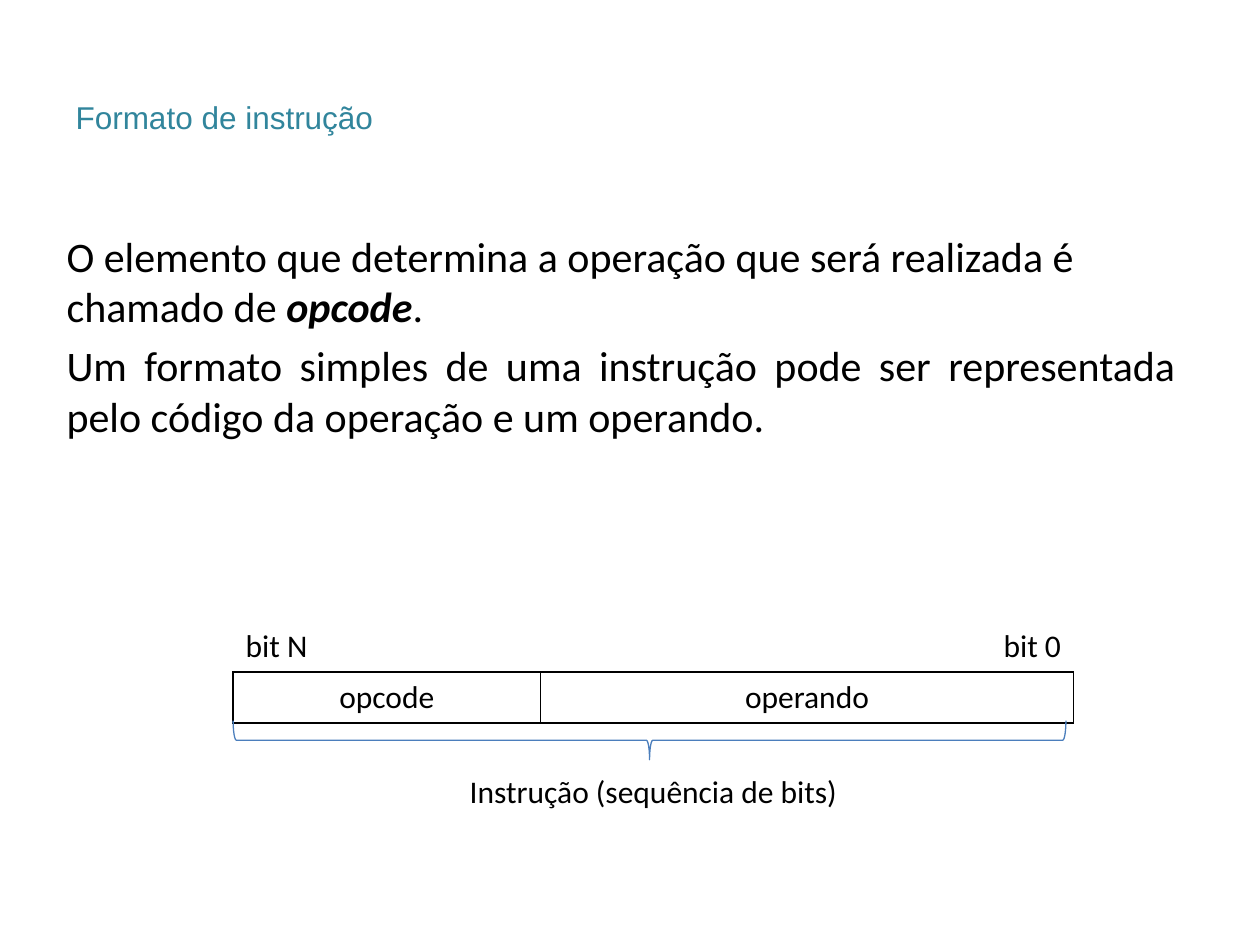
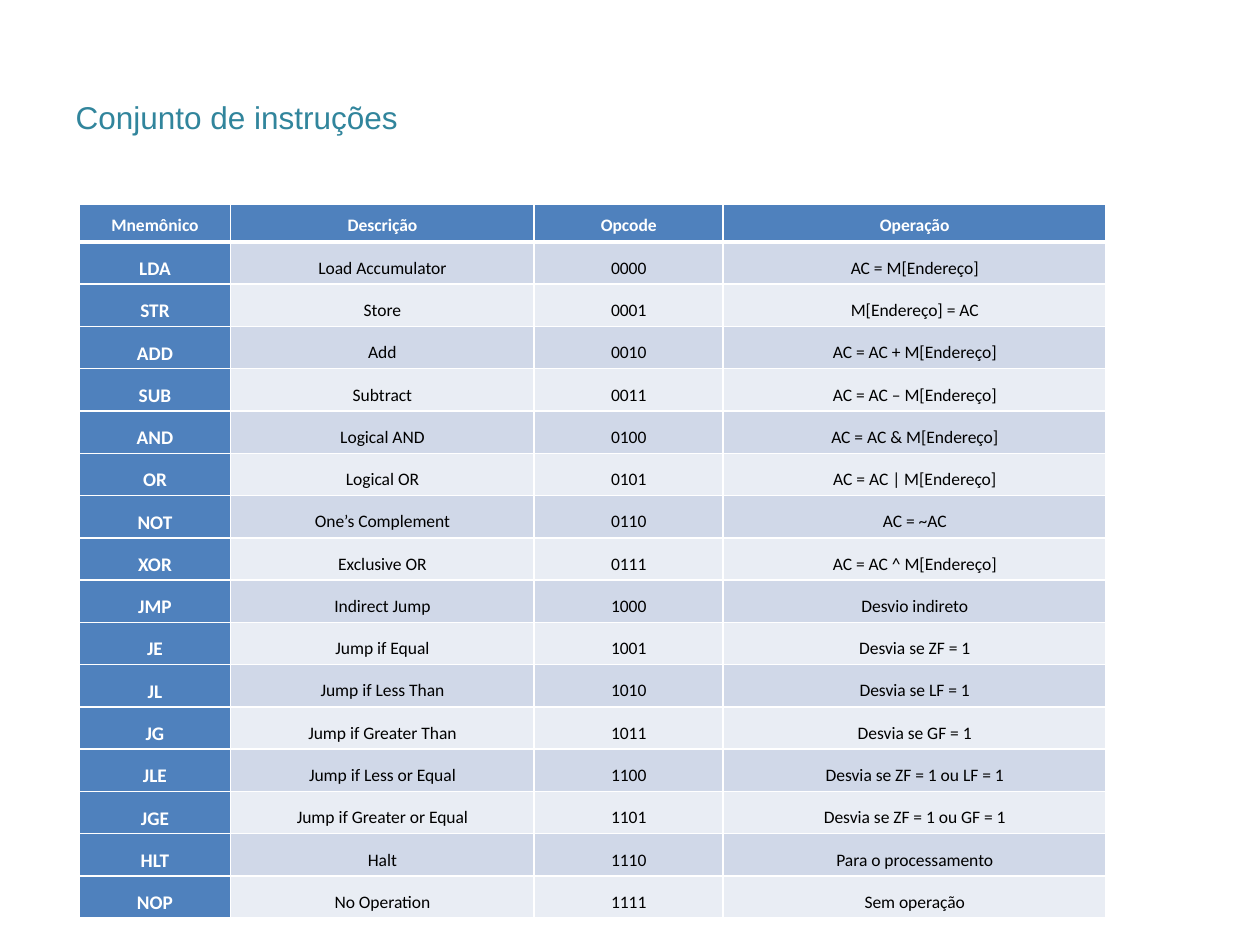
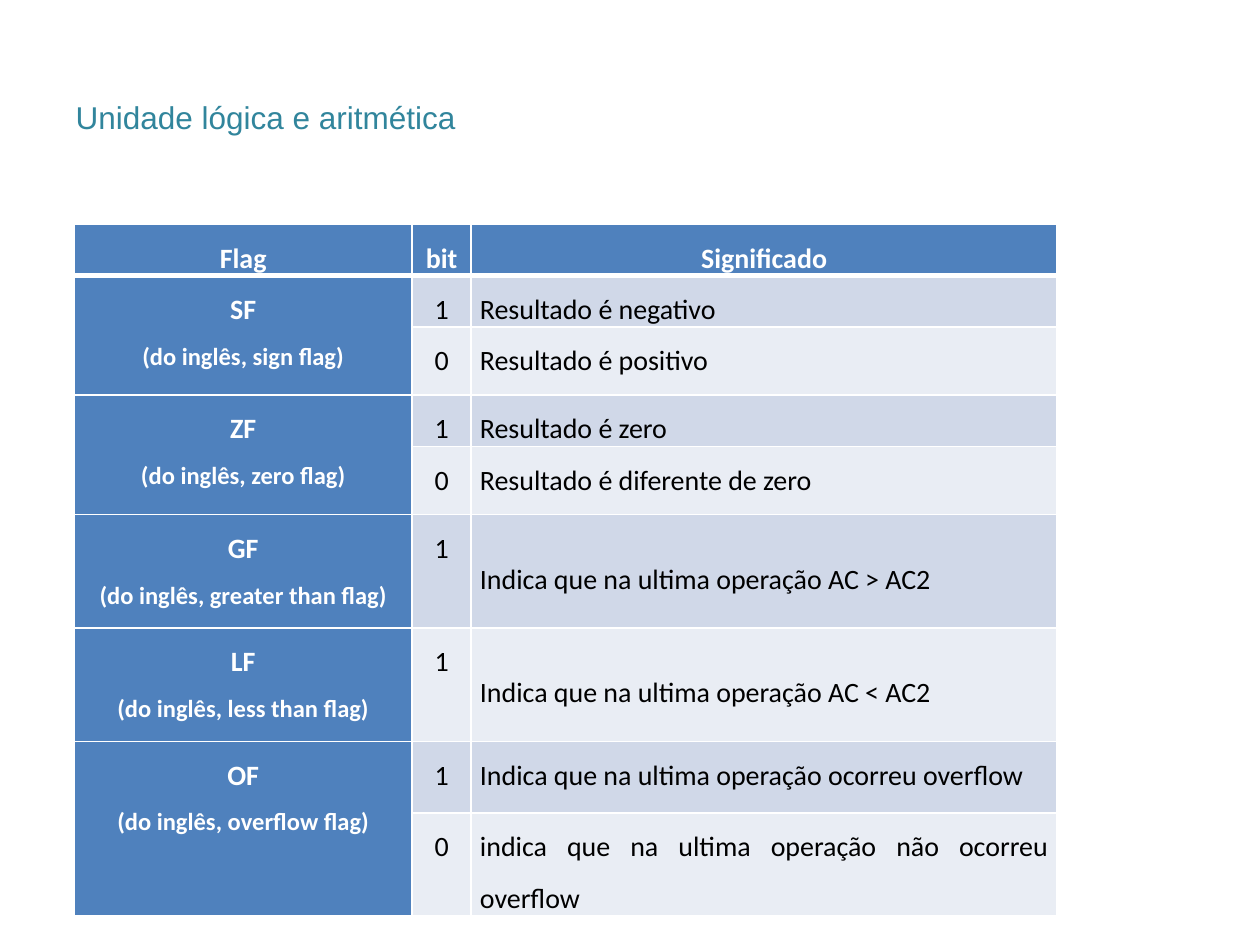
from pptx import Presentation
from pptx.dml.color import RGBColor
from pptx.enum.shapes import MSO_SHAPE
from pptx.enum.text import MSO_ANCHOR, PP_ALIGN
from pptx.oxml.ns import qn
from pptx.util import Inches, Pt
from lxml.etree import SubElement

# Shared look
TEAL, BLUE, BRACE_BLUE = "31859C", "4F81BD", "4B7EBC"
BANDS = ["E9EDF4", "D0D8E8"]
BLACK, WHITE = "000000", "FFFFFF"
PLAIN_TABLE = "{2D5ABB26-0587-4C30-8999-92F81FD0307C}"
colour = RGBColor.from_string


def add_run(para, text, size, hex_colour=BLACK, bold=False, italic=False, font="Calibri"):
    span = para.add_run()
    span.text = text
    span.font.name, span.font.size = font, Pt(size)
    span.font.bold, span.font.italic = bold, italic
    span.font.color.rgb = colour(hex_colour)


def add_borders(cell, hex_colour, top=1, bottom=1):
    widths = {"a:lnL": 1, "a:lnR": 1, "a:lnT": top, "a:lnB": bottom}
    for side, width in widths.items():
        line = SubElement(cell._tc.get_or_add_tcPr(), qn(side), w=str(Pt(width)))
        fill = SubElement(line, qn("a:solidFill"))
        SubElement(fill, qn("a:srgbClr"), val=hex_colour)


deck = Presentation()
deck.slide_width, deck.slide_height = Inches(10), Inches(7.5)

# Pages with their titles
pages = []
for heading in ["Formato de instrução", "Conjunto de instruções", "Unidade lógica e aritmética"]:
    page = deck.slides.add_slide(deck.slide_layouts[5])
    title = page.shapes.title
    title.left, title.top = Inches(0.5), Inches(0.3)
    title.width, title.height = Inches(9), Inches(1.25)
    title.text_frame.vertical_anchor = MSO_ANCHOR.MIDDLE
    para = title.text_frame.paragraphs[0]
    para.alignment = PP_ALIGN.LEFT
    add_run(para, heading, 18, TEAL, font="Arial")
    pages.append(page)
format_page, instruction_page, flag_page = pages

# Instruction format: explanation
box = format_page.shapes.add_textbox(Inches(0.43), Inches(1.78), Inches(9), Inches(2.2))
box.text_frame.word_wrap = True
para = box.text_frame.paragraphs[0]
para.space_before = Pt(4.8)
add_run(para, "O elemento que determina a operação que será realizada é chamado de ", 24)
add_run(para, "opcode", 24, bold=True, italic=True)
add_run(para, ".", 24)
para = box.text_frame.add_paragraph()
para.space_before = Pt(4.8)
para.alignment = PP_ALIGN.JUSTIFY
add_run(para, "Um formato simples de uma instrução pode ser representada "
        "pelo código da operação e um operando.", 24)

# Instruction format: bit layout, with only the lower row framed
frame = format_page.shapes.add_table(2, 2, Inches(1.85), Inches(4.93), Inches(6.67), Inches(0.81))
frame._element.find(".//" + qn("a:tableStyleId")).text = PLAIN_TABLE
layout = frame.table
layout.columns[0].width, layout.columns[1].width = Inches(2.44), Inches(4.23)
bit_cells = [
    (0, 0, "bit N", PP_ALIGN.LEFT),
    (0, 1, "bit 0", PP_ALIGN.RIGHT),
    (1, 0, "opcode", PP_ALIGN.CENTER),
    (1, 1, "operando", PP_ALIGN.CENTER),
]
for row, column, text, alignment in bit_cells:
    cell = layout.cell(row, column)
    para = cell.text_frame.paragraphs[0]
    para.alignment = alignment
    add_run(para, text, 18)
    if row == 1:
        add_borders(cell, BLACK)

# Instruction format: brace and caption
brace = format_page.shapes.add_shape(
    MSO_SHAPE.RIGHT_BRACE, Inches(5), Inches(2.57), Inches(0.31), Inches(6.61))
brace.rotation = 90
brace.shadow.inherit = False
brace.fill.background()
brace.line.color.rgb = colour(BRACE_BLUE)
brace.line.width = Pt(0.75)
caption = format_page.shapes.add_textbox(Inches(3.63), Inches(6.08), Inches(3.26), Inches(0.4))
caption.text_frame.word_wrap = True
add_run(caption.text_frame.paragraphs[0], "Instrução (sequência de bits)", 18)

# Table contents; an empty first cell continues the one above
instructions = [
    ("Mnemônico", "Descrição", "Opcode", "Operação"),
    ("LDA", "Load Accumulator", "0000", "AC = M[Endereço]"),
    ("STR", "Store", "0001", "M[Endereço] = AC"),
    ("ADD", "Add", "0010", "AC = AC + M[Endereço]"),
    ("SUB", "Subtract", "0011", "AC = AC – M[Endereço]"),
    ("AND", "Logical AND", "0100", "AC = AC & M[Endereço]"),
    ("OR", "Logical OR", "0101", "AC = AC | M[Endereço]"),
    ("NOT", "One’s Complement", "0110", "AC = ~AC"),
    ("XOR", "Exclusive OR", "0111", "AC = AC ^ M[Endereço]"),
    ("JMP", "Indirect Jump", "1000", "Desvio indireto"),
    ("JE", "Jump if Equal", "1001", "Desvia se ZF = 1"),
    ("JL", "Jump if Less Than", "1010", "Desvia se LF = 1"),
    ("JG", "Jump if Greater Than", "1011", "Desvia se GF = 1"),
    ("JLE", "Jump if Less or Equal", "1100", "Desvia se ZF = 1 ou LF = 1"),
    ("JGE", "Jump if Greater or Equal", "1101", "Desvia se ZF = 1 ou GF = 1"),
    ("HLT", "Halt", "1110", "Para o processamento"),
    ("NOP", "No Operation", "1111", "Sem operação"),
]
flags = [
    ("Flag", "bit", "Significado"),
    ("SF\n(do inglês, sign flag)", "1", "Resultado é negativo"),
    ("", "0", "Resultado é positivo"),
    ("ZF\n(do inglês, zero flag)", "1", "Resultado é zero"),
    ("", "0", "Resultado é diferente de zero"),
    ("GF\n(do inglês, greater than flag)", "1", "Indica que na ultima operação AC > AC2"),
    ("LF\n(do inglês, less than flag)", "1", "Indica que na ultima operação AC < AC2"),
    ("OF\n(do inglês, overflow flag)", "1", "Indica que na ultima operação ocorreu overflow"),
    ("", "0", "indica que na ultima operação não ocorreu overflow"),
]

# Page, rows, left, top, column widths, row heights, body size, sizes of the
# first column's lines, alignment of the last column, body anchor
table_plans = [
    (instruction_page, instructions, 0.63, 1.62, [1.2, 2.41, 1.5, 3.04],
     [0.3] + [5.37 / 16] * 16, 10, [11], PP_ALIGN.CENTER, MSO_ANCHOR.MIDDLE),
    (flag_page, flags, 0.59, 1.78, [2.68, 0.47, 4.65],
     [0.36, 0.36, 0.54, 0.36, 0.54, 0.9, 0.9, 0.57, 0.72], 16, [16, 14],
     PP_ALIGN.JUSTIFY, MSO_ANCHOR.TOP),
]

# Banded tables with a blue header and a blue first column
for page, rows, left, top, widths, heights, size, key_sizes, last_alignment, anchor in table_plans:
    frame = page.shapes.add_table(
        len(rows), len(widths), Inches(left), Inches(top),
        Inches(sum(widths)), Inches(sum(heights)))
    frame._element.find(".//" + qn("a:tableStyleId")).text = PLAIN_TABLE
    table = frame.table
    for column, width in enumerate(widths):
        table.columns[column].width = Inches(width)
    for row, texts in enumerate(rows):
        table.rows[row].height = Inches(heights[row])
        for column, text in enumerate(texts):
            cell = table.cell(row, column)
            is_header, is_key = row == 0, column == 0
            is_blue = is_header or is_key
            cell.margin_left = cell.margin_right = Inches(0.07)
            cell.margin_top = cell.margin_bottom = 0
            cell.vertical_anchor = MSO_ANCHOR.TOP if is_header else anchor
            add_borders(cell, WHITE, top=3 if row == 1 else 1, bottom=3 if is_header else 1)
            cell.fill.solid()
            cell.fill.fore_color.rgb = colour(BLUE if is_blue else BANDS[row % 2])
            if not text:
                table.cell(row - 1, column).merge(cell)
                continue
            sizes = key_sizes if is_key and not is_header else [size]
            for number, (line, line_size) in enumerate(zip(text.split("\n"), sizes)):
                para = cell.text_frame.add_paragraph() if number else cell.text_frame.paragraphs[0]
                is_last = column == len(widths) - 1 and not is_header
                para.alignment = last_alignment if is_last else PP_ALIGN.CENTER
                para.line_spacing = 1.5
                add_run(para, line, line_size, WHITE if is_blue else BLACK, bold=is_blue)

# The comparison flags have one tall row each, with a centred meaning
for row in (5, 6):
    table.cell(row, 2).vertical_anchor = MSO_ANCHOR.MIDDLE

deck.save("out.pptx")
